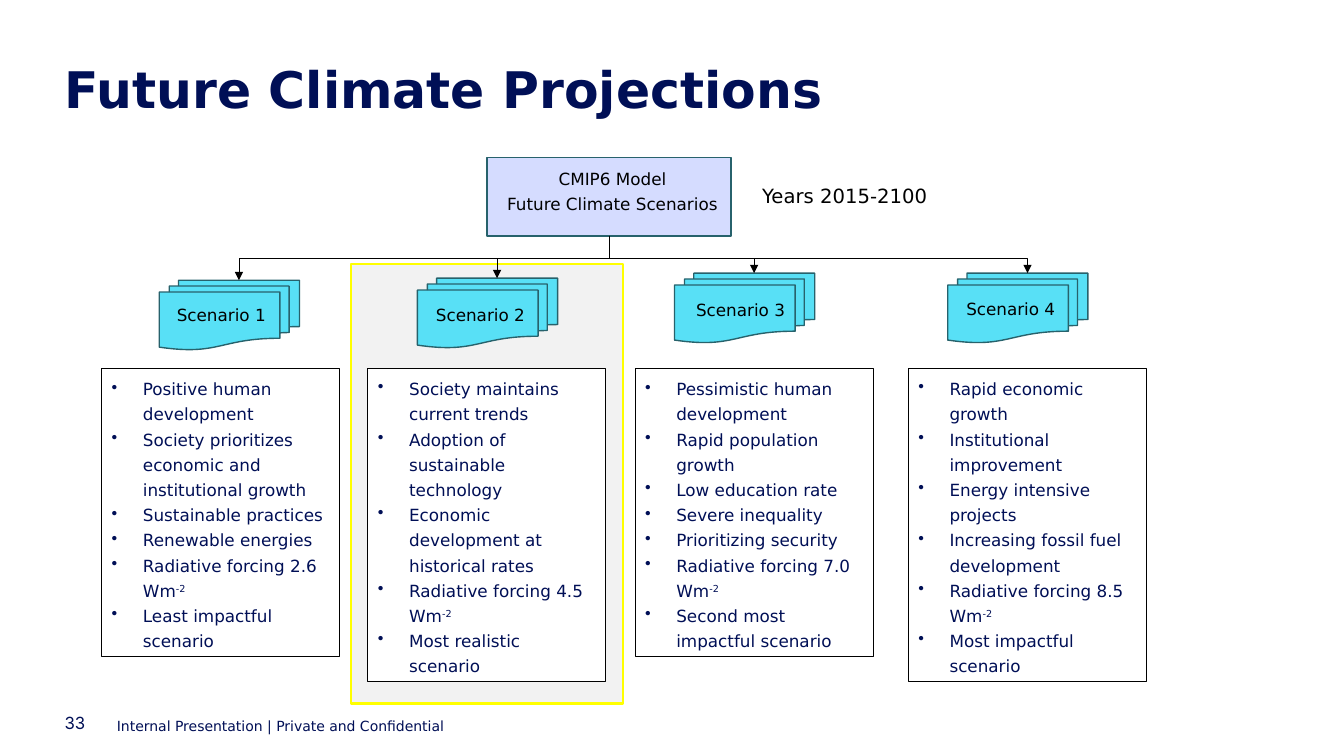
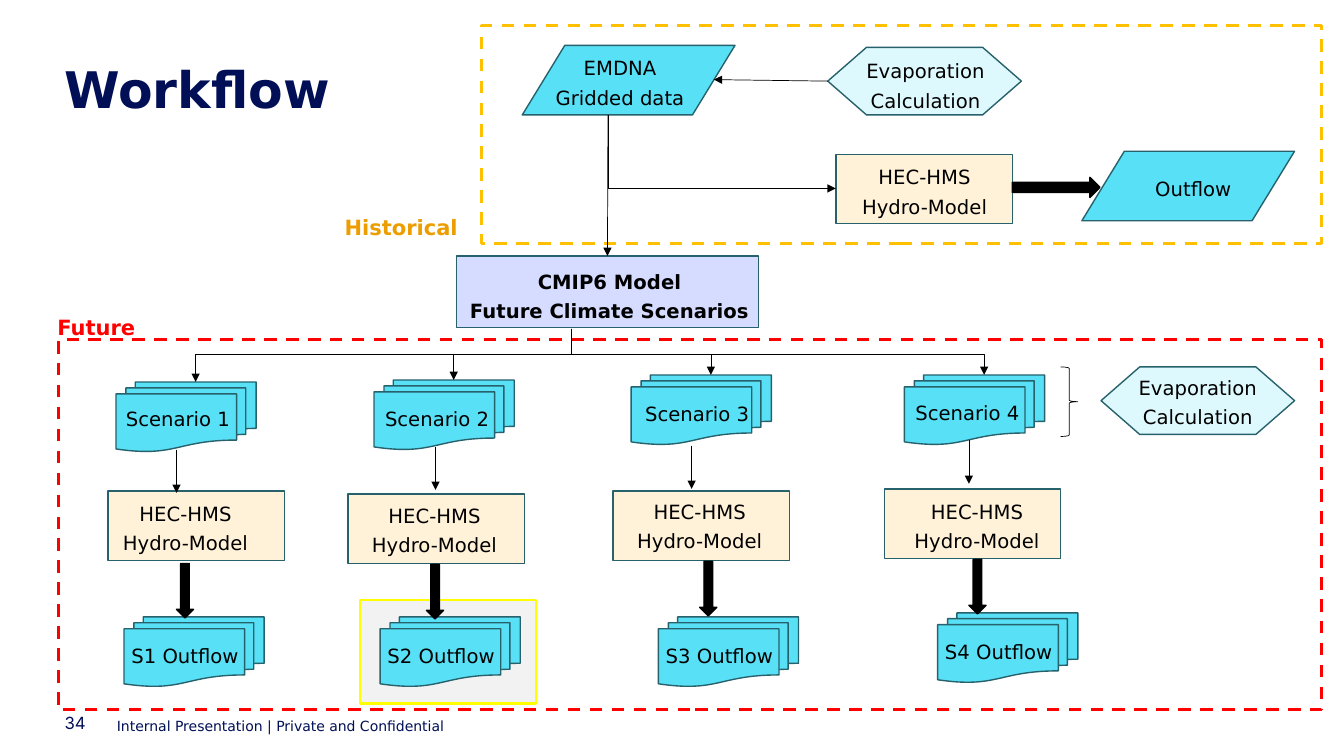
from dataclasses import dataclass
from typing import NamedTuple, Optional

from lxml import etree
from pptx import Presentation
from pptx.dml.color import RGBColor
from pptx.enum.dml import MSO_LINE
from pptx.enum.shapes import MSO_CONNECTOR, MSO_SHAPE
from pptx.enum.text import MSO_ANCHOR, MSO_AUTO_SIZE, PP_ALIGN
from pptx.oxml.ns import qn
from pptx.util import Inches, Pt

STRAIGHT, ELBOW = MSO_CONNECTOR.STRAIGHT, MSO_CONNECTOR.ELBOW
PROCESS, RECTANGLE = MSO_SHAPE.FLOWCHART_PROCESS, MSO_SHAPE.RECTANGLE
DOCUMENTS, DATA = MSO_SHAPE.FLOWCHART_MULTIDOCUMENT, MSO_SHAPE.FLOWCHART_DATA
HEXAGON, BRACE = MSO_SHAPE.FLOWCHART_PREPARATION, MSO_SHAPE.RIGHT_BRACE
DOWN_ARROW, RIGHT_ARROW = MSO_SHAPE.DOWN_ARROW, MSO_SHAPE.RIGHT_ARROW
DASH = MSO_LINE.DASH
LEFT, CENTER = PP_ALIGN.LEFT, PP_ALIGN.CENTER
TOP, MIDDLE = MSO_ANCHOR.TOP, MSO_ANCHOR.MIDDLE
GROW, FIXED = MSO_AUTO_SIZE.SHAPE_TO_FIT_TEXT, MSO_AUTO_SIZE.NONE
TOP_SITE, LEFT_SITE = 0, 1


@dataclass(frozen=True)
class Theme:
    navy: str = "000F56"
    black: str = "000000"
    white: str = "FFFFFF"
    cyan: str = "58E0F6"
    pale_cyan: str = "DEF9FD"
    teal: str = "27626C"
    lavender: str = "D5DCFF"
    cream: str = "FFF2D8"
    grey: str = "F2F2F2"
    yellow: str = "FFFF00"
    amber: str = "FFC000"
    orange: str = "EC9D00"
    red: str = "FF0000"
    font: str = "DejaVu Sans"
    number_font: str = "Inter"
    title: float = 36
    heading: float = 15
    large: float = 14
    body: float = 12
    footer: float = 10


THEME = Theme()


class Frame(NamedTuple):
    left: float
    top: float
    width: float
    height: float

    def lengths(self) -> list:
        return [Inches(value) for value in self]


class Point(NamedTuple):
    x: float
    y: float


@dataclass(frozen=True)
class TextStyle:
    size: float
    color: str = THEME.black
    bold: bool = False
    font: str = THEME.font
    align: PP_ALIGN = CENTER
    spacing: float = 1.25
    inset: bool = True
    anchor: MSO_ANCHOR = TOP
    bulleted: bool = False
    grow: bool = True


@dataclass(frozen=True)
class ShapeStyle:
    fill: Optional[str]
    line: str = THEME.teal
    weight: float = 1
    dash: Optional[MSO_LINE] = None


TITLE = TextStyle(THEME.title, THEME.navy, True, align=LEFT, spacing=0.9, inset=False, grow=False)
FOOTER = TextStyle(THEME.footer, THEME.navy, align=LEFT, inset=False, grow=False)
NUMBER = TextStyle(THEME.body, THEME.navy, font=THEME.number_font, align=LEFT, spacing=1,
                   inset=False, anchor=MIDDLE, grow=False)
BULLETS = TextStyle(THEME.body, THEME.navy, align=LEFT, bulleted=True)
SMALL_LABEL = TextStyle(THEME.body)
LABEL = TextStyle(THEME.large)
BOLD_LABEL = TextStyle(THEME.large, bold=True)
NOTE = TextStyle(THEME.large, align=LEFT)

CYAN = ShapeStyle(THEME.cyan)
MODEL = ShapeStyle(THEME.lavender)
HYDRO = ShapeStyle(THEME.cream)
EVAPORATION = ShapeStyle(THEME.pale_cyan)
HIGHLIGHT = ShapeStyle(THEME.grey, THEME.yellow, 1.5)
SOLID = ShapeStyle(THEME.black, THEME.black)
THIN = ShapeStyle(None, THEME.black, 0.5)


@dataclass(frozen=True)
class Scenario:
    document: Point
    label: Point
    box_left: float
    box_height: float
    fill: Optional[str]
    points: tuple


@dataclass(frozen=True)
class Chain:
    link: Point
    hydro: Point
    hydro_label: Point
    arrow: Point
    outflow: Point


SCENARIOS = (
    Scenario(Point(1.58, 2.78), Point(1.55, 2.92), 1.01, 2.85, None, (
        "Positive human development", "Society prioritizes economic and institutional growth",
        "Sustainable practices", "Renewable energies", "Radiative forcing 2.6 Wm^-2",
        "Least impactful scenario")),
    Scenario(Point(4.14, 2.76), Point(4.12, 2.92), 3.65, 3.1, THEME.white, (
        "Society maintains current trends", "Adoption of sustainable technology",
        "Economic development at historical rates", "Radiative forcing 4.5 Wm^-2",
        "Most realistic scenario")),
    Scenario(Point(6.69, 2.71), Point(6.7, 2.87), 6.3, 2.85, None, (
        "Pessimistic human development", "Rapid population growth", "Low education rate",
        "Severe inequality", "Prioritizing security", "Radiative forcing 7.0 Wm^-2",
        "Second most impactful scenario")),
    Scenario(Point(9.4, 2.71), Point(9.38, 2.86), 9.01, 3.1, None, (
        "Rapid economic growth", "Institutional improvement", "Energy intensive projects",
        "Increasing fossil fuel development", "Radiative forcing 8.5 Wm^-2",
        "Most impactful scenario")),
)

CHAINS = (
    Chain(Point(1.75, 4.46), Point(1.07, 4.87), Point(1.09, 4.87), Point(1.75, 5.59), Point(1.23, 6.12)),
    Chain(Point(4.32, 4.43), Point(3.45, 4.9), Point(3.56, 4.89), Point(4.23, 5.6), Point(3.77, 6.12)),
    Chain(Point(6.86, 4.42), Point(6.08, 4.87), Point(6.19, 4.85), Point(6.94, 5.57), Point(6.53, 6.12)),
    Chain(Point(9.61, 4.37), Point(8.77, 4.85), Point(8.94, 4.85), Point(9.61, 5.55), Point(9.3, 6.08)),
)

HYDRO_LINES = ("HEC-HMS", "Hydro-Model")
MODEL_LINES = ("CMIP6 Model", "Future Climate Scenarios")


def add_span(para, text: str, style: TextStyle, raised: bool = False) -> None:
    span = para.add_run()
    span.text = text
    formats = {"name": style.font, "size": Pt(style.size), "bold": style.bold}
    for name, value in formats.items():
        setattr(span.font, name, value)
    span.font.color.rgb = RGBColor.from_string(style.color)
    if raised:
        span.font._element.set("baseline", "30000")


def write(box, lines: tuple, style: TextStyle) -> None:
    frame = box.text_frame
    formats = {"word_wrap": True, "vertical_anchor": style.anchor,
               "auto_size": GROW if style.grow else FIXED}
    if not style.inset:
        formats |= {f"margin_{side}": 0 for side in ("left", "top", "right", "bottom")}
    for name, value in formats.items():
        setattr(frame, name, value)
    for index, line in enumerate(lines):
        para = frame.add_paragraph() if index else frame.paragraphs[0]
        if style.bulleted:
            properties = para._p.get_or_add_pPr()
            properties.set("marL", str(Inches(0.31)))
            properties.set("indent", str(Inches(-0.31)))
            etree.SubElement(properties, qn("a:buChar")).set("char", "•")
        para.alignment = style.align
        para.line_spacing = style.spacing
        text, _, exponent = line.partition("^")
        add_span(para, text, style)
        if exponent:
            add_span(para, exponent, style, raised=True)


def add_text(page, frame: Frame, lines: tuple, style: TextStyle) -> None:
    write(page.shapes.add_textbox(*frame.lengths()), lines, style)


def add_box(page, kind: MSO_SHAPE, frame: Frame, style: ShapeStyle):
    box = page.shapes.add_shape(kind, *frame.lengths())
    box.shadow.inherit = False
    if style.fill:
        box.fill.solid()
        box.fill.fore_color.rgb = RGBColor.from_string(style.fill)
    else:
        box.fill.background()
    box.line.color.rgb = RGBColor.from_string(style.line)
    box.line.width = Pt(style.weight)
    if style.dash:
        box.line.dash_style = style.dash
    return box


def add_arrow(page, kind: MSO_CONNECTOR, start: Point, end: Point):
    arrow = page.shapes.add_connector(kind, *(Inches(value) for value in (*start, *end)))
    arrow.line.color.rgb = RGBColor.from_string(THEME.black)
    arrow.line.width = Pt(0.5)
    etree.SubElement(arrow.line._get_or_add_ln(), qn("a:tailEnd")).set("type", "triangle")
    etree.SubElement(arrow._element.spPr, qn("a:effectLst"))
    return arrow


def add_bend(page, start: Point, end: Point, rail: Optional[float] = None) -> None:
    drop, reach = end.y - start.y, abs(end.x - start.x)
    left = (start.x + end.x - drop) / 2
    top = (start.y + end.y - reach) / 2
    bend = add_arrow(page, ELBOW, Point(left, top), Point(left + drop, top + reach))
    properties = bend._element.spPr
    rightward = end.x > start.x
    properties.xfrm.set("rot", "16200000" if rightward else "5400000")
    if rightward:
        properties.xfrm.set("flipH", "1")
    geometry = properties.find(qn("a:prstGeom"))
    if rail is None:
        geometry.set("prst", "bentConnector2")
        return
    values = geometry.find(qn("a:avLst"))
    if values is None:
        values = etree.SubElement(geometry, qn("a:avLst"))
    guide = etree.SubElement(values, qn("a:gd"))
    guide.set("name", "adj1")
    guide.set("fmla", f"val {round((rail - start.y) / drop * 100000)}")


def add_documents(page, corner: Point) -> None:
    add_box(page, DOCUMENTS, Frame(*corner, 1.39, 0.69), CYAN)


def add_scenarios(page, shift: Point, hub: Point, rail: float, style: TextStyle) -> None:
    for number, scenario in enumerate(SCENARIOS, 1):
        corner = Point(scenario.document.x + shift.x, scenario.document.y + shift.y)
        add_documents(page, corner)
        add_text(page, Frame(scenario.label.x + shift.x, scenario.label.y + shift.y, 1.29, 0.35),
                 (f"Scenario {number}",), style)
        add_bend(page, hub, Point(corner.x + 0.79, corner.y), rail)


def add_hydro(page, corner: Point, label: Point):
    box = add_box(page, PROCESS, Frame(*corner, 1.75, 0.69), HYDRO)
    add_text(page, Frame(*label, 1.5, 0.66), HYDRO_LINES, LABEL)
    return box


def add_evaporation(page, corner: Point, label: Point):
    box = add_box(page, HEXAGON, Frame(*corner, 1.92, 0.67), EVAPORATION)
    add_text(page, Frame(*label, 1.5, 0.66), ("Evaporation Calculation",), LABEL)
    return box


def add_page(deck, number: int, title: str, highlight: Frame):
    page = deck.slides.add_slide(deck.slide_layouts[6])
    add_text(page, Frame(0.64, 7.07, 0.43, 0.21), (str(number),), NUMBER)
    add_text(page, Frame(1.16, 7.08, 5.34, 0.21),
             ("Internal Presentation | Private and Confidential",), FOOTER)
    add_box(page, PROCESS, highlight, HIGHLIGHT)
    add_text(page, Frame(0.64, 0.64, 12.05, 0.69), (title,), TITLE)
    return page


def build_projections(deck) -> None:
    page = add_page(deck, 33, "Future Climate Projections", Frame(3.48, 2.62, 2.7, 4.36))
    add_box(page, PROCESS, Frame(4.83, 1.56, 2.42, 0.78), MODEL)
    add_text(page, Frame(4.9, 1.57, 2.35, 0.58), MODEL_LINES, SMALL_LABEL)
    add_text(page, Frame(7.46, 1.72, 2.95, 0.36), ("Years 2015-2100",), NOTE)
    add_scenarios(page, Point(0, 0), Point(6.04, 2.34), 2.56, SMALL_LABEL)
    for scenario in SCENARIOS:
        frame = Frame(scenario.box_left, 3.66, 2.36, scenario.box_height)
        box = add_box(page, RECTANGLE, frame, ShapeStyle(scenario.fill, THEME.black, 0.75))
        write(box, scenario.points, BULLETS)


def build_workflow(deck) -> None:
    page = add_page(deck, 34, "Workflow", Frame(3.57, 5.95, 1.75, 1.03))
    regions = (
        (Frame(4.78, 0.25, 8.33, 2.17), THEME.amber, Frame(3.32, 2.02, 1.46, 0.38), "Historical", THEME.orange),
        (Frame(0.58, 3.37, 12.53, 3.67), THEME.red, Frame(0.47, 3.01, 1.12, 0.39), "Future", THEME.red),
    )
    for frame, line, label_frame, label, color in regions:
        add_box(page, RECTANGLE, frame, ShapeStyle(None, line, 2.25, DASH))
        add_text(page, label_frame, (label,), TextStyle(THEME.heading, color, True, align=LEFT))

    add_box(page, DATA, Frame(5.18, 0.45, 2.11, 0.69), CYAN)
    add_text(page, Frame(5.32, 0.45, 1.66, 0.66), ("EMDNA Gridded data",), LABEL)
    add_box(page, DATA, Frame(10.73, 1.5, 2.11, 0.69), CYAN)
    add_text(page, Frame(11.19, 1.65, 1.29, 0.37), ("Outflow",), LABEL)
    evaporation = add_evaporation(page, Point(8.21, 0.47), Point(8.43, 0.48))
    add_evaporation(page, Point(10.92, 3.64), Point(11.13, 3.62))
    add_hydro(page, Point(8.29, 1.53), Point(8.42, 1.53))
    add_box(page, RIGHT_ARROW, Frame(10.04, 1.76, 0.87, 0.2), SOLID)
    model = add_box(page, PROCESS, Frame(4.53, 2.54, 2.99, 0.71), MODEL)
    add_text(page, Frame(4.49, 2.57, 3.11, 0.66), MODEL_LINES, BOLD_LABEL)
    source = Point(6.03, 1.14)
    add_arrow(page, STRAIGHT, Point(8.21, 0.8), Point(7.08, 0.79)).begin_connect(evaporation, LEFT_SITE)
    add_arrow(page, STRAIGHT, source, Point(6.03, 2.54)).end_connect(model, TOP_SITE)
    add_bend(page, source, Point(8.29, 1.87))

    add_scenarios(page, Point(-0.43, 1.01), Point(5.67, 3.26), 3.52, LABEL)
    add_box(page, BRACE, Frame(10.52, 3.64, 0.17, 0.69), THIN)
    for number, chain in enumerate(CHAINS, 1):
        add_hydro(page, chain.hydro, chain.hydro_label)
        add_arrow(page, STRAIGHT, chain.link, Point(chain.link.x, chain.link.y + 0.43))
        add_documents(page, chain.outflow)
        add_box(page, DOWN_ARROW, Frame(*chain.arrow, 0.17, 0.54), SOLID)
        add_text(page, Frame(chain.outflow.x - 0.04, chain.outflow.y + 0.16, 1.29, 0.37),
                 (f"S{number} Outflow",), LABEL)


def main() -> None:
    deck = Presentation()
    deck.slide_width, deck.slide_height = Inches(13.33), Inches(7.5)
    build_projections(deck)
    build_workflow(deck)
    deck.save("out.pptx")


if __name__ == "__main__":
    main()
